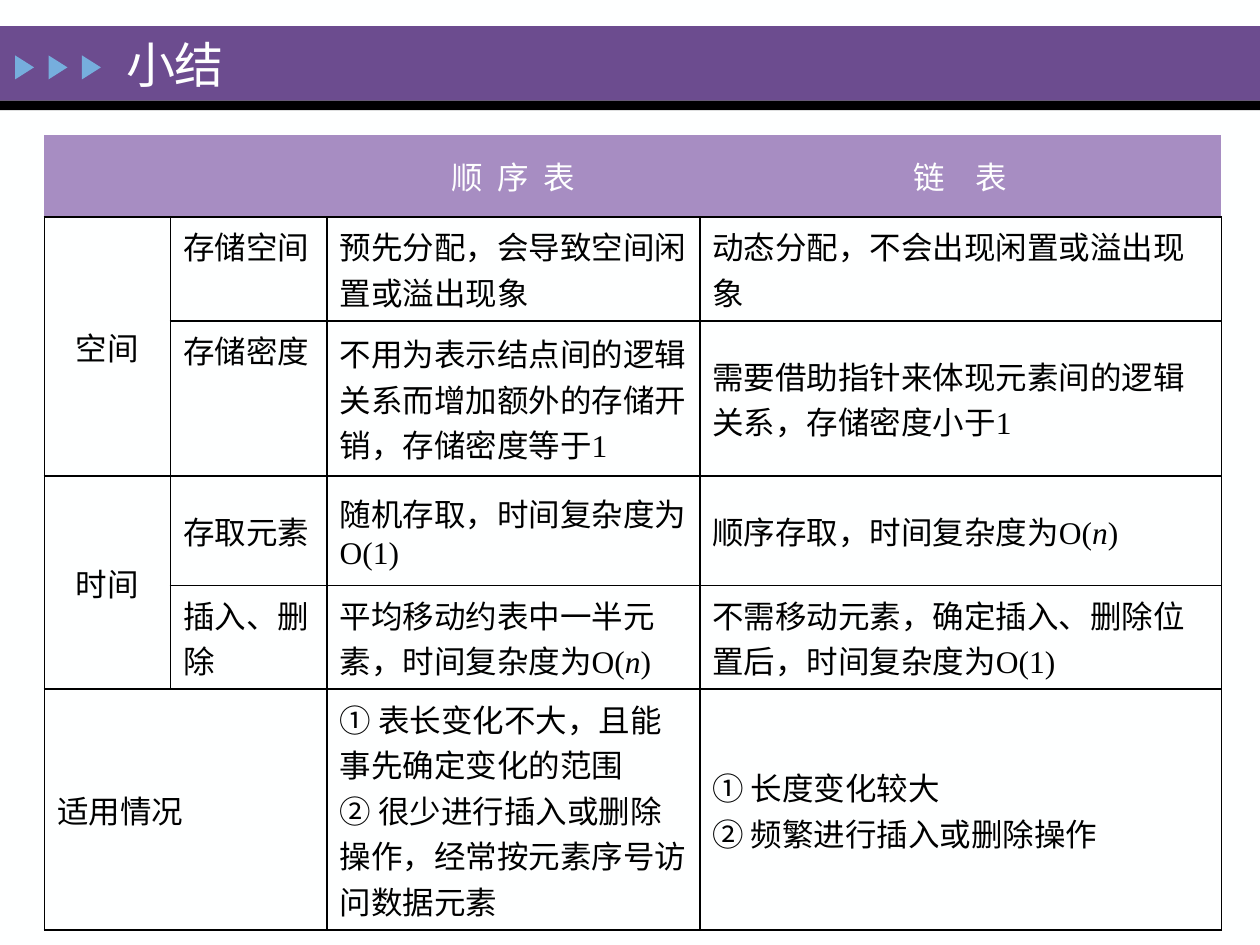
from lxml import etree
from pptx import Presentation
from pptx.dml.color import RGBColor
from pptx.enum.shapes import MSO_SHAPE
from pptx.enum.text import MSO_ANCHOR, PP_ALIGN
from pptx.oxml.ns import qn
from pptx.util import Pt

RECTANGLE, TRIANGLE = MSO_SHAPE.RECTANGLE, MSO_SHAPE.ISOSCELES_TRIANGLE
TOP, MIDDLE = MSO_ANCHOR.TOP, MSO_ANCHOR.MIDDLE
LEFT, CENTER = PP_ALIGN.LEFT, PP_ALIGN.CENTER

WHITE = RGBColor(0xFE, 0xFF, 0xFF)
BLACK = RGBColor(0, 0, 0)
PURPLE = RGBColor(0x6C, 0x4C, 0x8F)
LILAC = RGBColor(0xA7, 0x8D, 0xC2)
BLUE = RGBColor(0x76, 0xAE, 0xDD)
FONT = "Times New Roman"

# Content: a cell is a list of paragraphs, a paragraph a list of runs;
# the run VARIABLE is set in italics
VARIABLE = "n"
TITLE = "小结"
ROWS = [
    [[], [], [["顺 序 表"]], [["链 表"]]],
    [[["空间"]], [["存储空间"]],
     [["预先分配，会导致空间闲置或溢出现象"]],
     [["动态分配，不会出现闲置或溢出现象"]]],
    [[], [["存储密度"]],
     [["不用为表示结点间的逻辑关系而增加额外的存储开销，存储密度等于1"]],
     [["需要借助指针来体现元素间的逻辑关系，存储密度小于1"]]],
    [[["时间"]], [["存取元素"]],
     [["随机存取，时间复杂度为O(1)"]],
     [["顺序存取，时间复杂度为O(", VARIABLE, ")"]]],
    [[], [["插入、删除"]],
     [["平均移动约表中一半元素，时间复杂度为O(", VARIABLE, ")"]],
     [["不需移动元素，确定插入、删除位置后，时间复杂度为O(1)"]]],
    [[["适用情况"]], [],
     [["① 表长变化不大，且能事先确定变化的范围"],
      ["② 很少进行插入或删除操作，经常按元素序号访问数据元素"]],
     [["① 长度变化较大"], ["② 频繁进行插入或删除操作"]]],
]
MERGES = [((0, 0), (0, 1)), ((1, 0), (2, 0)), ((3, 0), (4, 0)), ((5, 0), (5, 1))]
CENTERED = {(0, 2), (0, 3), (1, 0), (3, 0)}
TOP_ANCHORED = {(1, 1), (2, 1), (4, 1), (4, 2), (4, 3)}
LETTER_SPACING = {(0, 2): 225, (0, 3): 675}  # hundredths of a point

# Layout in points
COLUMN_WIDTHS = [72, 89.5, 213, 298]
ROW_HEIGHTS = [46.8, 50.4, 88.6, 62.6, 50.4, 137.5]
TABLE_LEFT, TABLE_TOP = 25.4, 77.2
BANDS = [(15, 42.5, PURPLE), (57.5, 5.5, BLACK)]
ARROW_LEFT, ARROW_TOP, ARROW_STEP = 7.2, 33.1, 19.1
ARROW_WIDTH, ARROW_HEIGHT = 13.7, 10.8


def add_run(paragraph, text, size, color, italic=False):
    run = paragraph.add_run()
    run.text = text
    formats = {"name": FONT, "size": Pt(size), "bold": False, "italic": italic}
    for name, value in formats.items():
        setattr(run.font, name, value)
    run.font.color.rgb = color
    return run


def add_filled_shape(slide, kind, left, top, width, height, color):
    shape = slide.shapes.add_shape(kind, Pt(left), Pt(top), Pt(width), Pt(height))
    shape.shadow.inherit = False
    shape.fill.solid()
    shape.fill.fore_color.rgb = color
    shape.line.fill.background()
    return shape


def set_borders(cell, visible):
    properties = cell._tc.get_or_add_tcPr()
    for side in ("lnL", "lnR", "lnT", "lnB"):
        line = etree.SubElement(properties, qn("a:" + side), w=str(Pt(1)))
        if side in visible:
            fill = etree.SubElement(line, qn("a:solidFill"))
            etree.SubElement(fill, qn("a:srgbClr"), val=str(BLACK))
        else:
            etree.SubElement(line, qn("a:noFill"))


def fill_cell(cell, position, paragraphs):
    header = position[0] == 0
    set_borders(cell, {"lnB"} if header else {"lnL", "lnR", "lnT", "lnB"})
    cell.fill.solid()
    cell.fill.fore_color.rgb = LILAC if header else WHITE
    cell.vertical_anchor = TOP if position in TOP_ANCHORED else MIDDLE
    frame = cell.text_frame
    for index, runs in enumerate(paragraphs):
        paragraph = frame.add_paragraph() if index else frame.paragraphs[0]
        paragraph.alignment = CENTER if position in CENTERED else LEFT
        # Keep punctuation at a line end inside the cell
        paragraph._p.get_or_add_pPr().set("hangingPunct", "0")
        for text in runs:
            run = add_run(paragraph, text, 18, WHITE if header else BLACK,
                          text == VARIABLE)
            if position in LETTER_SPACING:
                run.font._element.set("spc", str(LETTER_SPACING[position]))


def add_comparison_table(slide):
    table = slide.shapes.add_table(
        len(ROWS), len(COLUMN_WIDTHS), Pt(TABLE_LEFT), Pt(TABLE_TOP),
        Pt(sum(COLUMN_WIDTHS)), Pt(sum(ROW_HEIGHTS))).table
    table.first_row = table.horz_banding = False
    for column, width in zip(table.columns, COLUMN_WIDTHS):
        column.width = Pt(width)
    for row, height in zip(table.rows, ROW_HEIGHTS):
        row.height = Pt(height)
    for first, last in MERGES:
        table.cell(*first).merge(table.cell(*last))
    for row_index, row in enumerate(ROWS):
        for column_index, paragraphs in enumerate(row):
            position = (row_index, column_index)
            fill_cell(table.cell(*position), position, paragraphs)


def main():
    presentation = Presentation()
    presentation.slide_width, presentation.slide_height = Pt(720), Pt(540)
    slide = presentation.slides.add_slide(presentation.slide_layouts[5])
    slide.background.fill.solid()
    slide.background.fill.fore_color.rgb = WHITE

    # Header bands and arrows
    for top, height, color in BANDS:
        add_filled_shape(slide, RECTANGLE, 0, top, 720, height, color)
    for index in range(3):
        arrow = add_filled_shape(slide, TRIANGLE, ARROW_LEFT + index * ARROW_STEP,
                                 ARROW_TOP, ARROW_WIDTH, ARROW_HEIGHT, BLUE)
        arrow.rotation = 90

    add_comparison_table(slide)

    # Title, moved in front of the bands
    title = slide.shapes.title
    title.left, title.top, title.width, title.height = Pt(64.8), Pt(15.8), Pt(131.8), Pt(41)
    title.text_frame.vertical_anchor = MIDDLE
    paragraph = title.text_frame.paragraphs[0]
    paragraph.alignment = LEFT
    add_run(paragraph, TITLE, 28, WHITE)
    slide.shapes._spTree.append(title._element)

    presentation.save("out.pptx")


if __name__ == "__main__":
    main()
